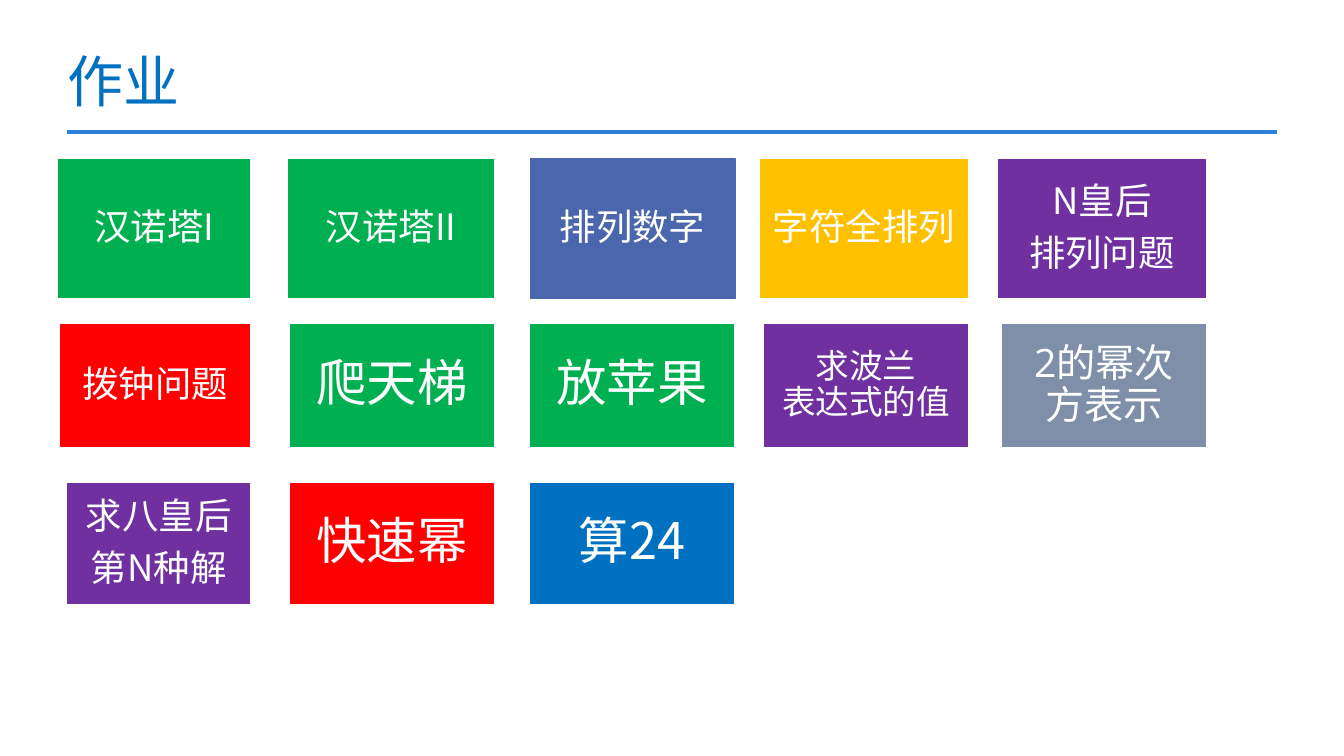
import pptx
import pptx.util
import pptx.dml.color
import pptx.enum.shapes
import pptx.enum.text
import pptx.oxml
import pptx.oxml.ns
import lxml.etree

COLORS = {
    "white": "FFFFFF", "title": "0070C0", "rule": "297FD5", "green": "00B050",
    "indigo": "4A66AC", "amber": "FFC000", "purple": "7030A0", "red": "FF0000",
    "slate": "7F8FA9", "blue": "0070C0",
}
CJK_FONT = "Noto Sans CJK SC"
LATIN_FONT = "Open Sans"

# Tiles share the right edge of their column; rows give top and height.
COLUMN_RIGHTS = [2.49, 4.91, 7.29, 9.61, 11.97]
ROWS = [(1.57, 1.39), (3.21, 1.23), (4.78, 1.22)]

# Each tile: paragraphs, fill, text size, width.
HOMEWORK = [
    [
        (["汉诺塔I"], "green", 26, 1.92),
        (["汉诺塔II"], "green", 26, 2.06),
        (["排列数字"], "indigo", 26, 2.03),
        (["字符全排列"], "amber", 26, 2.08),
        (["N皇后", "排列问题"], "purple", 26, 2.08),
    ],
    [
        (["拨钟问题"], "red", 26, 1.9),
        (["爬天梯"], "green", 36, 2.04),
        (["放苹果"], "green", 36, 2.04),
        (["求波兰\v表达式的值"], "purple", 24, 2.04),
        ([[("2", LATIN_FONT), ("的幂次方表示", CJK_FONT)]], "slate", 28, 2.04),
    ],
    [
        (["求八皇后", "第N种解"], "purple", 26, 1.83),
        (["快速幂"], "red", 36, 2.04),
        (["算24"], "blue", 36, 2.04),
    ],
]


def rgb(name):
    """Return the named colour."""
    return pptx.dml.color.RGBColor.from_string(COLORS[name])


def set_font(font, name, size, color):
    """Set the font for Latin and East Asian characters alike."""
    font.name, font.size = name, pptx.util.Pt(size)
    font.color.rgb = rgb(color)
    east_asian = lxml.etree.SubElement(font._element, pptx.oxml.ns.qn("a:ea"))
    east_asian.set("typeface", name)


def write_text(shape, paragraphs, *, size, color="white", align="CENTER",
               anchor="MIDDLE", inset=(0.11, 0.11), space_after=0):
    """Write paragraphs, each a string or a list of (text, font) runs."""
    frame = shape.text_frame
    frame.word_wrap = True
    frame.vertical_anchor = getattr(pptx.enum.text.MSO_ANCHOR, anchor)
    frame.margin_left = frame.margin_right = pptx.util.Inches(inset[0])
    frame.margin_top = frame.margin_bottom = pptx.util.Inches(inset[1])
    for index, content in enumerate(paragraphs):
        paragraph = frame.add_paragraph() if index else frame.paragraphs[0]
        paragraph.alignment = getattr(pptx.enum.text.PP_ALIGN, align)
        paragraph.line_spacing = 0.9
        paragraph.space_after = pptx.util.Pt(space_after)
        runs = [(content, CJK_FONT)] if isinstance(content, str) else content
        for text, font_name in runs:
            for line_number, line in enumerate(text.split("\v")):
                if line_number:
                    paragraph.add_line_break()
                run = paragraph.add_run()
                run.text = line
                set_font(run.font, font_name, size, color)


def add_heading(slide, text):
    """Add the title and the rule under it."""
    box = slide.shapes.add_textbox(
        *map(pptx.util.Inches, (0.57, 0.49, 8.65, 0.7)))
    write_text(box, [text], size=40, color="title", align="LEFT",
               anchor="BOTTOM", inset=(0.1, 0.05))
    rule = slide.shapes.add_connector(
        pptx.enum.shapes.MSO_CONNECTOR.STRAIGHT,
        *map(pptx.util.Inches, (0.66, 1.31, 12.67, 1.31)))
    rule.line.color.rgb = rgb("rule")
    rule.line.width = pptx.util.Pt(3)
    lxml.etree.SubElement(rule._element.spPr, pptx.oxml.ns.qn("a:effectLst"))


def add_tile(slide, column, row, paragraphs, fill, size, width):
    """Add one homework tile in its grid cell."""
    top, height = ROWS[row]
    left = COLUMN_RIGHTS[column] - width
    tile = slide.shapes.add_shape(
        pptx.enum.shapes.MSO_SHAPE.RECTANGLE,
        *map(pptx.util.Inches, (left, top, width, height)))
    tile.shadow.inherit = False
    tile.fill.solid()
    tile.fill.fore_color.rgb = rgb(fill)
    tile.line.color.rgb = rgb("indigo" if fill == "indigo" else "white")
    tile.line.width = pptx.util.Pt(1)
    inset = 0.11 if size == 26 else 0.15
    write_text(tile, paragraphs, size=size, inset=(inset, inset),
               space_after=0.35 * size)


def main():
    """Build and save the homework slide."""
    presentation = pptx.Presentation()
    presentation.slide_width = pptx.util.Inches(13.33)
    presentation.slide_height = pptx.util.Inches(7.5)
    slide = presentation.slides.add_slide(presentation.slide_layouts[6])
    add_heading(slide, "作业")
    for row, tiles in enumerate(HOMEWORK):
        for column, tile in enumerate(tiles):
            add_tile(slide, column, row, *tile)
    presentation.save("out.pptx")


main()
